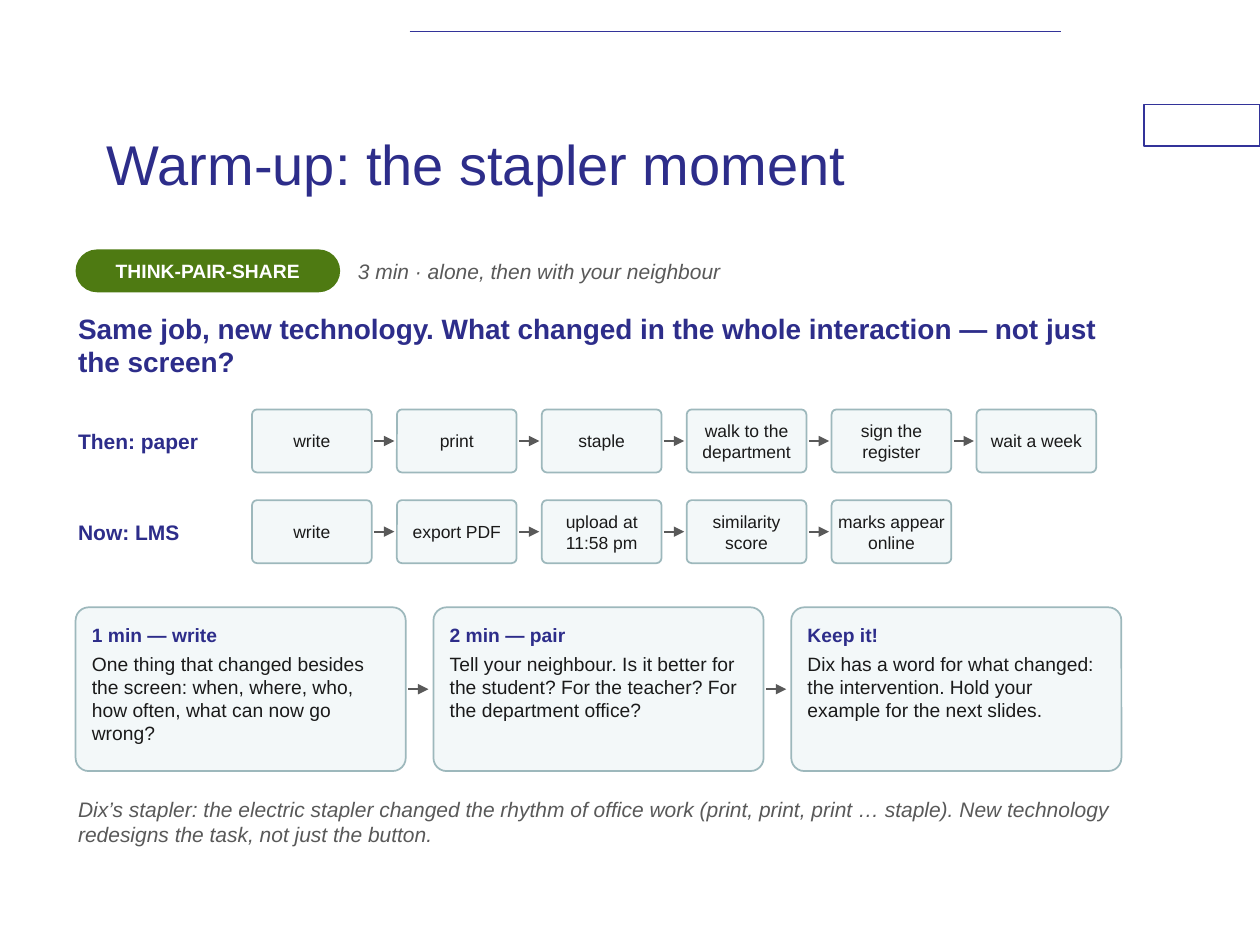
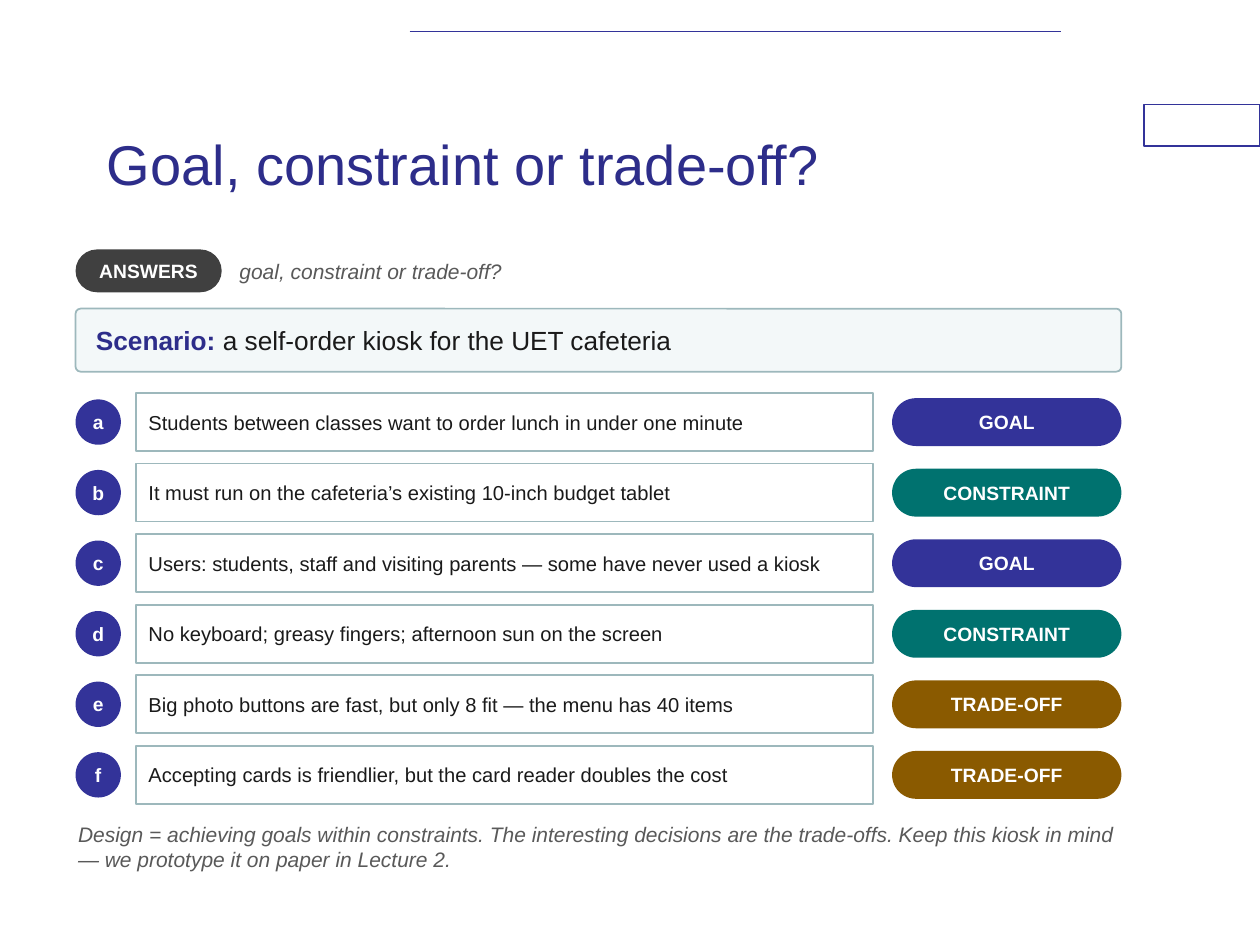
from lxml.etree import SubElement
from pptx import Presentation
from pptx.dml.color import RGBColor
from pptx.enum.shapes import MSO_CONNECTOR, MSO_SHAPE
from pptx.enum.text import MSO_ANCHOR, PP_ALIGN
from pptx.oxml.ns import qn
from pptx.util import Pt

PX = 9144
FONT = "Arial"
COLORS = {
    "title": "2D2D8A", "accent": "333399", "text": "1A1A1A", "muted": "595959",
    "white": "FFFFFF", "panel": "F3F8F9", "border": "9DB8BC", "green": "4E7A12",
    "charcoal": "404040", "teal": "00726F", "brown": "8A5A00",
}
LEFT, RIGHT = 60, 890
CONTENT_WIDTH = RIGHT - LEFT


def add_box(slide, kind, left, top, width, height, text="", size=11, color="text",
            bold=False, italic=False, fill=None, line=None, line_width=1, radius=None,
            inset=2, align=PP_ALIGN.LEFT, anchor=MSO_ANCHOR.MIDDLE):
    bounds = [value * PX for value in (left, top, width, height)]
    if kind is None:
        shape = slide.shapes.add_textbox(*bounds)
    else:
        shape = slide.shapes.add_shape(kind, *bounds)
        shape.shadow.inherit = False
        shape.fill.solid()
        shape.fill.fore_color.rgb = RGBColor.from_string(COLORS[fill])
        if line:
            shape.line.color.rgb = RGBColor.from_string(COLORS[line])
            shape.line.width = Pt(line_width)
        else:
            shape.line.fill.background()
        if radius is not None:
            shape.adjustments[0] = radius
    frame = shape.text_frame
    frame.word_wrap = True
    frame.vertical_anchor = anchor
    frame.margin_left = frame.margin_right = inset * PX
    frame.margin_top = frame.margin_bottom = inset * PX
    paragraph = frame.paragraphs[0]
    paragraph.text = text
    paragraph.alignment = align
    paragraph.font.name = FONT
    paragraph.font.size = Pt(size)
    paragraph.font.bold = bold
    paragraph.font.italic = italic
    paragraph.font.color.rgb = RGBColor.from_string(COLORS[color])
    return shape


def add_line(slide, start, end, y, color, width, arrow=False):
    connector = slide.shapes.add_connector(
        MSO_CONNECTOR.STRAIGHT, start * PX, y * PX, end * PX, y * PX)
    connector.line.color.rgb = RGBColor.from_string(COLORS[color])
    connector.line.width = Pt(width)
    if arrow:
        SubElement(connector.line._get_or_add_ln(), qn("a:tailEnd"), type="triangle")
    SubElement(connector._element.spPr, qn("a:effectLst"))


presentation = Presentation()
presentation.slide_width = 1000 * PX
presentation.slide_height = 750 * PX

panel_style = {"fill": "panel", "line": "border", "radius": 0.08}
badge_style = {"color": "white", "bold": True, "align": PP_ALIGN.CENTER}
pill_style = {**badge_style, "radius": 0.5, "inset": 3}

slide_heads = [
    ("Warm-up: the stapler moment", "THINK-PAIR-SHARE", "green", 210,
     "3 min · alone, then with your neighbour", 630,
     "Dix’s stapler: the electric stapler changed the rhythm of office work "
     "(print, print, print … staple). New technology redesigns the task, not just the button."),
    ("Goal, constraint or trade-off?", "ANSWERS", "charcoal", 116,
     "goal, constraint or trade-off?", 650,
     "Design = achieving goals within constraints. The interesting decisions are the "
     "trade-offs. Keep this kiosk in mind — we prototype it on paper in Lecture 2."),
]
slides = []
for title, tag, tag_color, tag_width, hint, note_top, note in slide_heads:
    slide = presentation.slides.add_slide(presentation.slide_layouts[6])
    slides.append(slide)
    add_box(slide, MSO_SHAPE.RECTANGLE, 908, 83, 92, 33,
            fill="white", line="accent", line_width=0.75)
    add_line(slide, 325, 842, 25, "accent", 1)
    add_box(slide, None, 75, 67, 750, 125, title, 32, "title", inset=10)
    add_box(slide, MSO_SHAPE.ROUNDED_RECTANGLE, LEFT, 198, tag_width, 34, tag,
            fill=tag_color, **pill_style)
    hint_left = LEFT + tag_width + 12
    add_box(slide, None, hint_left, 198, RIGHT - hint_left, 34, hint, 12, "muted", italic=True)
    add_box(slide, None, LEFT, note_top, CONTENT_WIDTH, 50, note, 12, "muted",
            italic=True, anchor=MSO_ANCHOR.TOP)
warm_up, answers = slides

add_box(warm_up, None, LEFT, 245, CONTENT_WIDTH, 62,
        "Same job, new technology. What changed in the whole interaction — not just the screen?",
        16, "title", bold=True, anchor=MSO_ANCHOR.TOP)

workflows = [
    ("Then: paper", ["write", "print", "staple", "walk to the department",
                     "sign the register", "wait a week"]),
    ("Now: LMS", ["write", "export PDF", "upload at 11:58 pm", "similarity score",
                  "marks appear online"]),
]
for row, (label, steps) in enumerate(workflows):
    top = 325 + row * 72
    add_box(warm_up, None, LEFT, top, 130, 50, label, 12, "title", bold=True)
    for column, step in enumerate(steps):
        left = 200 + column * 115
        if column:
            add_line(warm_up, left - 18, left - 2, top + 25, "muted", 1.25, arrow=True)
        add_box(warm_up, MSO_SHAPE.ROUNDED_RECTANGLE, left, top, 95, 50, step, 10,
                inset=4, align=PP_ALIGN.CENTER, **panel_style)

cards = [
    ("1 min — write", "One thing that changed besides the screen: when, where, who, "
                      "how often, what can now go wrong?"),
    ("2 min — pair", "Tell your neighbour. Is it better for the student? For the teacher? "
                     "For the department office?"),
    ("Keep it!", "Dix has a word for what changed: the intervention. "
                 "Hold your example for the next slides."),
]
for column, (heading, body) in enumerate(cards):
    left = LEFT + column * 284
    if column:
        add_line(warm_up, left - 20, left - 4, 547, "muted", 1.25, arrow=True)
    card = add_box(warm_up, MSO_SHAPE.ROUNDED_RECTANGLE, left, 482, 262, 130, heading,
                   color="title", bold=True, inset=10, anchor=MSO_ANCHOR.TOP, **panel_style)
    paragraph = card.text_frame.add_paragraph()
    paragraph.text = body
    paragraph.alignment = PP_ALIGN.LEFT
    paragraph.space_before = Pt(3)
    paragraph.font.name = FONT
    paragraph.font.size = Pt(11)
    paragraph.font.color.rgb = RGBColor.from_string(COLORS["text"])

scenario = add_box(answers, MSO_SHAPE.ROUNDED_RECTANGLE, LEFT, 245, CONTENT_WIDTH, 50,
                   "Scenario: ", 15, "title", bold=True, inset=15, **panel_style)
run = scenario.text_frame.paragraphs[0].add_run()
run.text = "a self-order kiosk for the UET cafeteria"
run.font.bold = False
run.font.color.rgb = RGBColor.from_string(COLORS["text"])

verdict_colors = {"GOAL": "accent", "CONSTRAINT": "teal", "TRADE-OFF": "brown"}
statements = [
    ("Students between classes want to order lunch in under one minute", "GOAL"),
    ("It must run on the cafeteria’s existing 10-inch budget tablet", "CONSTRAINT"),
    ("Users: students, staff and visiting parents — some have never used a kiosk", "GOAL"),
    ("No keyboard; greasy fingers; afternoon sun on the screen", "CONSTRAINT"),
    ("Big photo buttons are fast, but only 8 fit — the menu has 40 items", "TRADE-OFF"),
    ("Accepting cards is friendlier, but the card reader doubles the cost", "TRADE-OFF"),
]
for row, (letter, (statement, verdict)) in enumerate(zip("abcdef", statements)):
    top = 312 + row * 56
    add_box(answers, MSO_SHAPE.OVAL, LEFT, top + 5, 36, 36, letter,
            fill="accent", inset=0, **badge_style)
    add_box(answers, MSO_SHAPE.RECTANGLE, 108, top, 585, 46, statement, 11.5,
            fill="white", line="border", inset=10)
    add_box(answers, MSO_SHAPE.ROUNDED_RECTANGLE, 708, top + 4, 182, 38, verdict,
            fill=verdict_colors[verdict], **pill_style)

presentation.save("out.pptx")
